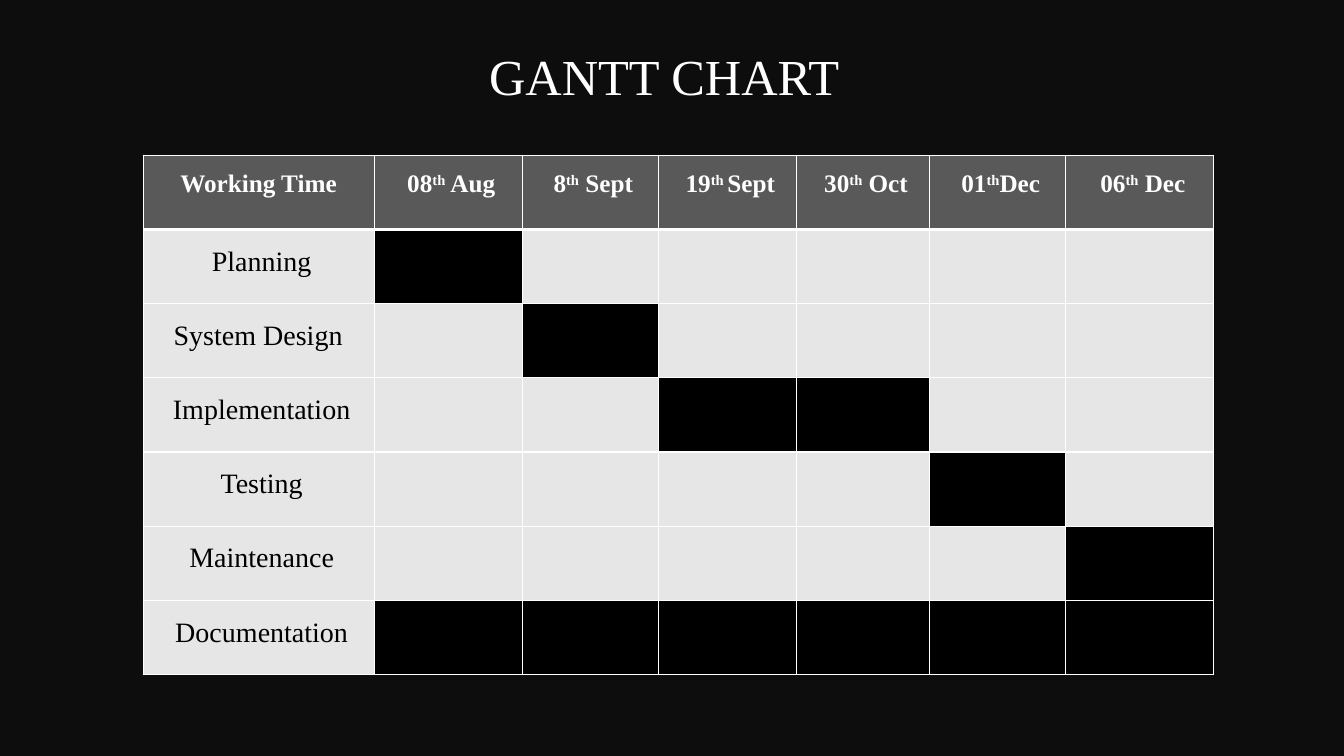
from dataclasses import dataclass

from lxml import etree
from pptx import Presentation
from pptx.dml.color import RGBColor
from pptx.enum import text
from pptx.oxml import ns
from pptx.util import Cm, Pt


@dataclass(frozen=True)
class Theme:
    font: str = "Times New Roman"
    background: str = "0D0D0D"
    light: str = "FFFFFF"
    dark: str = "000000"
    header: str = "595959"
    idle: str = "E7E6E6"
    busy: str = "000000"
    title_size: int = 36
    header_size: int = 18
    task_size: int = 20


theme = Theme()


def style_font(font, size, color, bold=False):
    font.name = theme.font
    font.size = Pt(size)
    font.bold = bold
    font.color.rgb = RGBColor.from_string(color)


def style_cell(cell, fill, top, bottom):
    """Fill the cell and rule its edges; top and bottom are widths in points."""
    properties = cell._tc.get_or_add_tcPr()
    for edge, width in {"lnL": 1, "lnR": 1, "lnT": top, "lnB": bottom}.items():
        line = etree.SubElement(properties, ns.qn(f"a:{edge}"), w=str(Pt(width)))
        solid = etree.SubElement(line, ns.qn("a:solidFill"))
        etree.SubElement(solid, ns.qn("a:srgbClr"), val=theme.light)
    cell.fill.solid()
    cell.fill.fore_color.rgb = RGBColor.from_string(fill)
    cell.margin_left, cell.margin_right = Cm(0.18), Cm(0.08)
    cell.margin_top, cell.margin_bottom = Cm(0.03), 0


# Each date is day, ordinal suffix, month
dates = [
    ("08", "th", " Aug"),
    ("8", "th", " Sept"),
    ("19", "th ", "Sept"),
    ("30", "th", " Oct"),
    ("01", "th", "Dec"),
    ("06", "th", " Dec"),
]
# Each task with the date columns in which it runs
tasks = [
    ("Planning", [1]),
    ("System Design ", [2]),
    ("Implementation", [3, 4]),
    ("Testing", [5]),
    ("Maintenance", [6]),
    ("Documentation", range(1, 7)),
]
column_widths = [5.82, 3.73, 3.43, 3.48, 3.36, 3.43, 3.73]
row_height = 1.87

deck = Presentation()
deck.slide_width, deck.slide_height = Cm(33.87), Cm(19.05)
page = deck.slides.add_slide(deck.slide_layouts.get_by_name("Title Only"))
page.background.fill.solid()
page.background.fill.fore_color.rgb = RGBColor.from_string(theme.background)

title = page.shapes.title
title.left, title.top, title.width, title.height = Cm(12.07), Cm(0.58), Cm(9.73), Cm(2.84)
title.text_frame.text = "GANTT CHART"
title.text_frame.auto_size = text.MSO_AUTO_SIZE.NONE
title.text_frame.vertical_anchor = text.MSO_ANCHOR.MIDDLE
para = title.text_frame.paragraphs[0]
para.alignment = text.PP_ALIGN.LEFT
para.line_spacing = 0.9
style_font(para.font, theme.title_size, theme.light)

rows = [([("Working Time ",), *dates], [])]
rows += [([(task,)], busy) for task, busy in tasks]

table = page.shapes.add_table(
    len(rows), len(column_widths), Cm(3.61), Cm(3.91),
    Cm(sum(column_widths)), Cm(row_height * len(rows)),
).table
table.horz_banding = False
for column, width in zip(table.columns, column_widths):
    column.width = Cm(width)

for r, (labels, busy) in enumerate(rows):
    table.rows[r].height = Cm(row_height)
    is_header = r == 0
    for c in range(len(column_widths)):
        cell = table.cell(r, c)
        fill = theme.header if is_header else theme.busy if c in busy else theme.idle
        style_cell(cell, fill, top=3 if r == 1 else 1, bottom=3 if is_header else 1)
        if c >= len(labels):
            continue
        para = cell.text_frame.paragraphs[0]
        para.alignment = text.PP_ALIGN.CENTER
        para.line_spacing = 1.5
        indents = para._p.get_or_add_pPr()
        indents.set("marL", str(Cm(0.08)))
        indents.set("indent", str(Cm(-0.03)))
        if is_header:
            style_font(para.font, theme.header_size, theme.light, bold=True)
        else:
            style_font(para.font, theme.task_size, theme.dark)
        for part, words in enumerate(labels[c]):
            span = para.add_run()
            span.text = words
            if part == 1:
                span._r.get_or_add_rPr().set("baseline", "30000")

deck.save("out.pptx")
